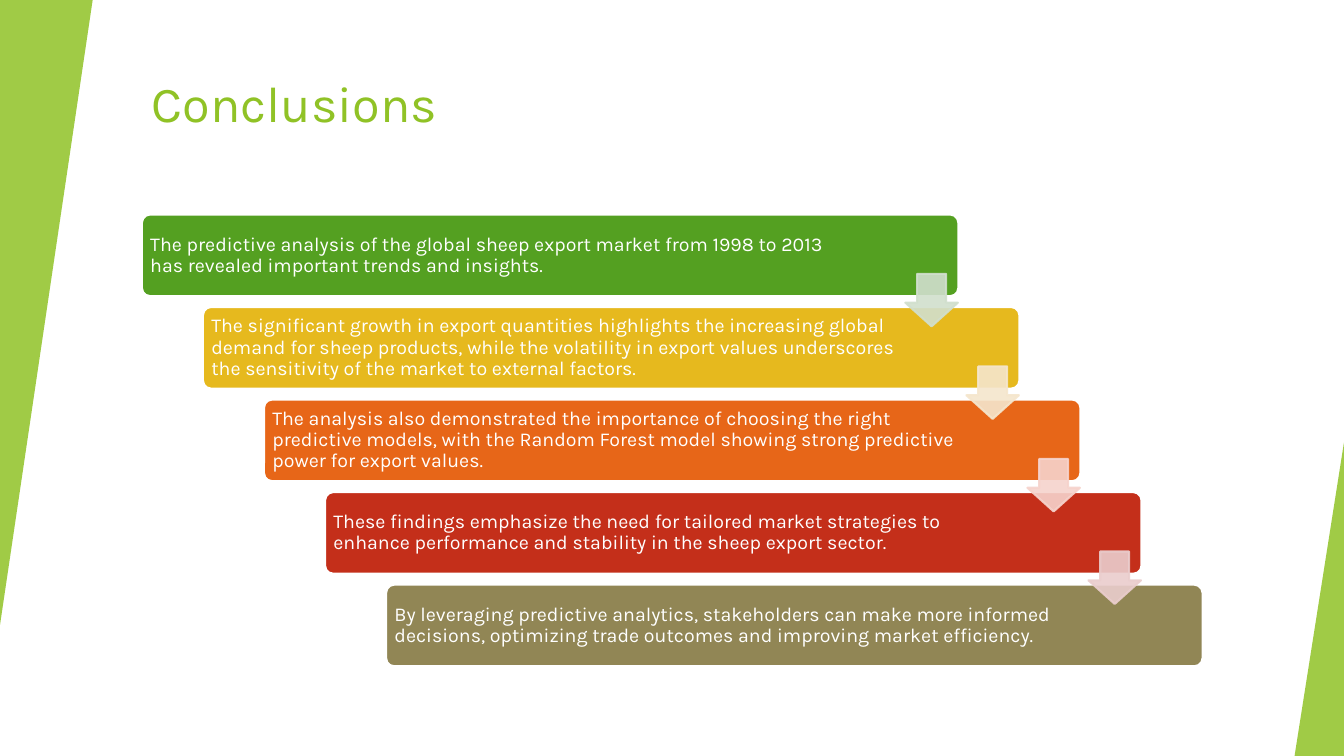
from dataclasses import dataclass
from typing import Optional

from lxml import etree
from pptx import Presentation
from pptx.dml.color import RGBColor
from pptx.enum import shapes, text
from pptx.oxml import ns
from pptx.util import Pt

FONT = "Karla"
WHITE = RGBColor(0xFF, 0xFF, 0xFF)
LIME = RGBColor(0x90, 0xC2, 0x26)
GREEN = RGBColor(0x54, 0xA0, 0x21)
GOLD = RGBColor(0xE6, 0xB9, 0x1E)
ORANGE = RGBColor(0xE7, 0x66, 0x18)
RED = RGBColor(0xC4, 0x2F, 0x1A)
OLIVE = RGBColor(0x91, 0x86, 0x55)
MINT = RGBColor(0xD1, 0xDF, 0xCD)
CREAM = RGBColor(0xF5, 0xE6, 0xCD)
PINK = RGBColor(0xF6, 0xD3, 0xCC)
ROSE = RGBColor(0xEA, 0xCD, 0xCD)

LEFT, TOP = 101.4, 153.2
STEP_X, STEP_Y = 43.6, 66.1
BAR_W, BAR_H = 583.2, 58.3
INSET = 1.75
ARROW_X, ARROW_Y, ARROW = 545.3, 42.4, 37.5


@dataclass
class Box:
    x: float
    y: float
    w: float
    h: float


@dataclass
class Step:
    words: str
    fill: RGBColor
    wide: float = 498.2
    arrow: Optional[RGBColor] = None


@dataclass
class Wedge:
    box: Box
    turn: float = 0


STEPS = [
    Step("The predictive analysis of the global sheep export market from 1998 to 2013 "
         "has revealed important trends and insights.", GREEN, 514.1, MINT),
    Step("The significant growth in export quantities highlights the increasing global "
         "demand for sheep products, while the volatility in export values underscores "
         "the sensitivity of the market to external factors.", GOLD, arrow=CREAM),
    Step("The analysis also demonstrated the importance of choosing the right predictive "
         "models, with the Random Forest model showing strong predictive power for "
         "export values.", ORANGE, arrow=PINK),
    Step("These findings emphasize the need for tailored market strategies to enhance "
         "performance and stability in the sheep export sector.", RED, arrow=ROSE),
    Step("By leveraging predictive analytics, stakeholders can make more informed "
         "decisions, optimizing trade outcomes and improving market efficiency.", OLIVE),
]

WEDGES = [
    Wedge(Box(0, 0, 66.2, 446.4), 180),
    Wedge(Box(924.7, 316.1, 35.3, 223.9)),
]


def fade(fill, part: int) -> None:
    for tint in fill.iter(ns.qn("a:srgbClr")):
        etree.SubElement(tint, ns.qn("a:alpha")).set("val", str(part * 1000))


def add_form(slide, kind, box: Box, fill: RGBColor, adjust: list[float],
             line: Optional[RGBColor] = None, part: int = 100):
    form = slide.shapes.add_shape(kind, Pt(box.x), Pt(box.y), Pt(box.w), Pt(box.h))
    form.shadow.inherit = False
    for i, value in enumerate(adjust):
        form.adjustments[i] = value
    form.fill.solid()
    form.fill.fore_color.rgb = fill
    if line is None:
        form.line.fill.background()
    else:
        form.line.color.rgb = line
        form.line.width = Pt(1.5)
    if part < 100:
        fade(form._element.spPr, part)
    return form


def add_words(slide, box: Box, words: str, size: float, color: RGBColor,
              anchor, sides: float, ends: float, lead: float = 1.0) -> None:
    frame = slide.shapes.add_textbox(
        Pt(box.x), Pt(box.y), Pt(box.w), Pt(box.h)).text_frame
    frame.word_wrap = True
    frame.vertical_anchor = anchor
    frame.margin_left = frame.margin_right = Pt(sides)
    frame.margin_top = frame.margin_bottom = Pt(ends)
    para = frame.paragraphs[0]
    para.line_spacing = lead
    run = para.add_run()
    run.text = words
    run.font.name = FONT
    run.font.size = Pt(size)
    run.font.color.rgb = color


def add_step(slide, rank: int, step: Step) -> None:
    x, y = LEFT + rank * STEP_X, TOP + rank * STEP_Y
    add_form(slide, shapes.MSO_SHAPE.ROUNDED_RECTANGLE, Box(x, y, BAR_W, BAR_H),
             step.fill, [0.1], WHITE)
    inner = Box(x + INSET, y + INSET, step.wide, BAR_H - 2 * INSET)
    add_words(slide, inner, step.words, 14, WHITE,
              text.MSO_ANCHOR.MIDDLE, 4.2, 4.2, 0.9)


def add_arrow(slide, rank: int, color: RGBColor) -> None:
    box = Box(LEFT + ARROW_X + rank * STEP_X, TOP + ARROW_Y + rank * STEP_Y,
              ARROW, ARROW)
    add_form(slide, shapes.MSO_SHAPE.DOWN_ARROW, box, color, [0.55, 0.45], color, 90)


def main() -> None:
    deck = Presentation()
    deck.slide_width, deck.slide_height = Pt(960), Pt(540)
    slide = deck.slides.add_slide(deck.slide_layouts[6])
    slide.background.fill.solid()
    slide.background.fill.fore_color.rgb = WHITE
    add_words(slide, Box(LEFT, 48.2, 802.8, 86.4), "Conclusions", 36, LIME,
              text.MSO_ANCHOR.TOP, 7.2, 3.6)
    for wedge in WEDGES:
        form = add_form(slide, shapes.MSO_SHAPE.ISOSCELES_TRIANGLE, wedge.box,
                        LIME, [1], part=85)
        form.rotation = wedge.turn
    for rank, step in enumerate(STEPS):
        add_step(slide, rank, step)
    for rank, step in enumerate(STEPS):
        if step.arrow is not None:
            add_arrow(slide, rank, step.arrow)
    deck.save("out.pptx")


if __name__ == "__main__":
    main()
